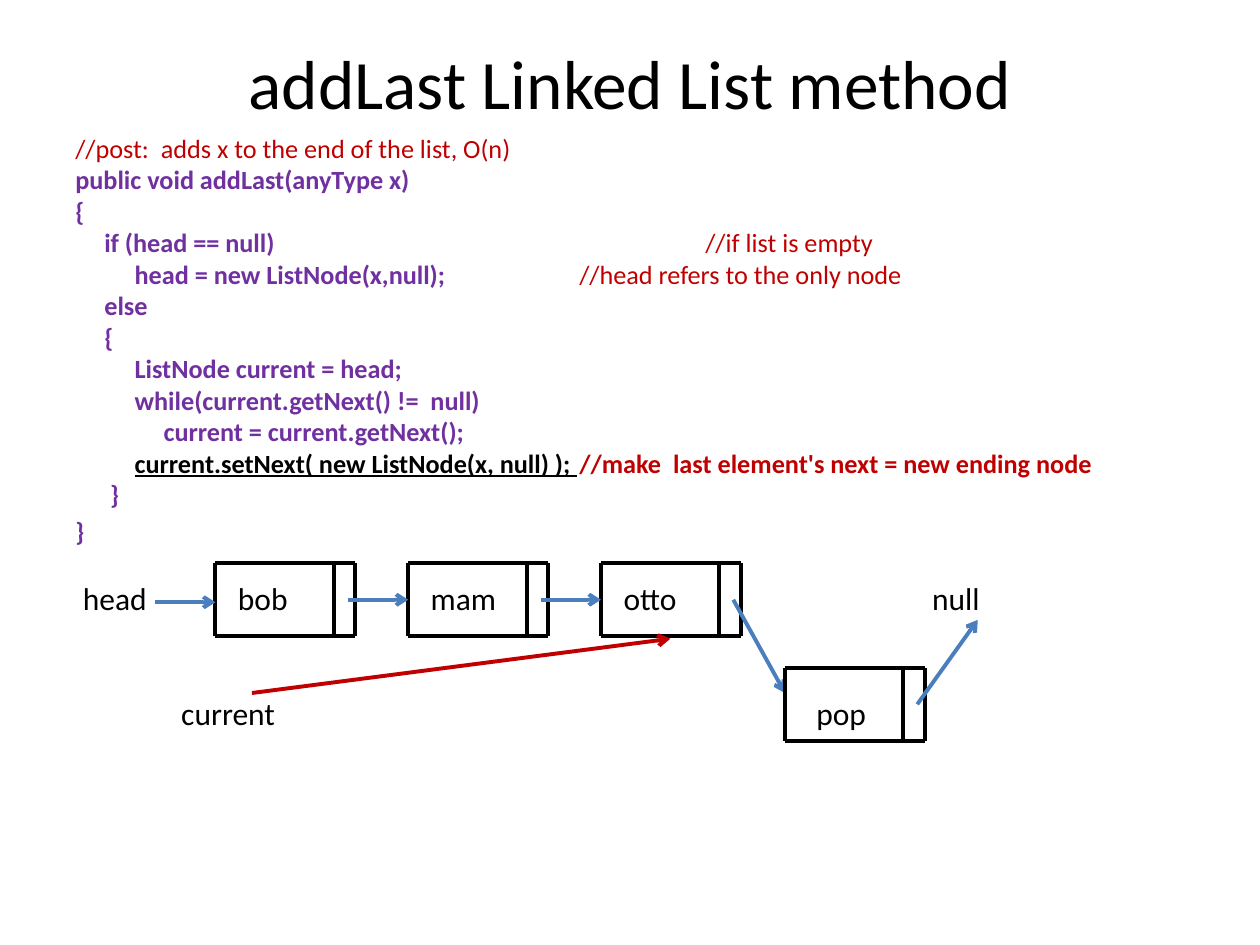
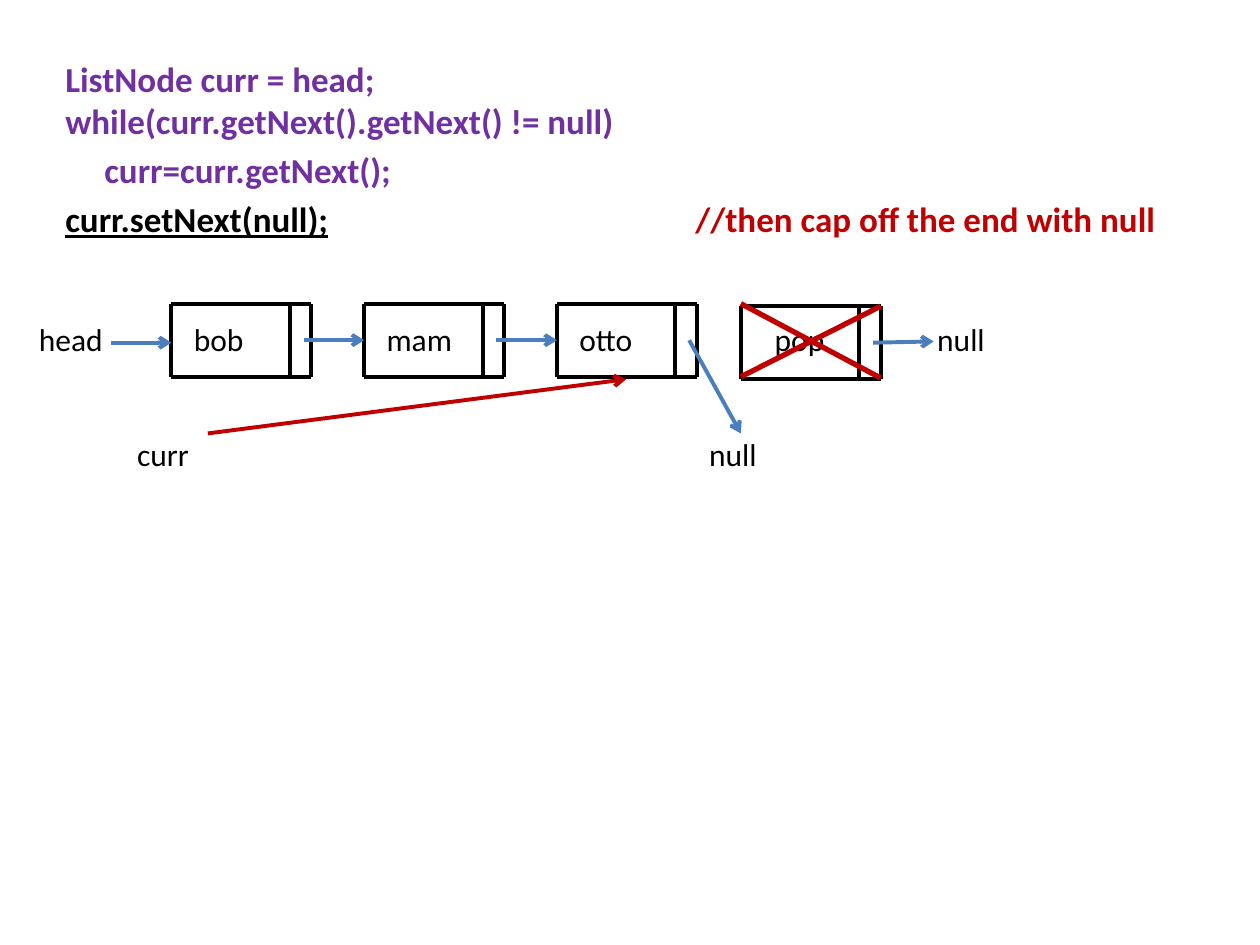
import pptx
import pptx.util
import pptx.dml.color
import pptx.enum.shapes
import pptx.enum.text
import pptx.oxml.ns
import lxml.etree

Inches = pptx.util.Inches
RGBColor = pptx.dml.color.RGBColor

BLACK = RGBColor(0x00, 0x00, 0x00)
PURPLE = RGBColor(0x70, 0x30, 0xA0)
RED = RGBColor(0xC0, 0x00, 0x00)
BLUE = RGBColor(0x4B, 0x7E, 0xBC)
FONT = "Calibri"

# Run styles: colour, bold, underline
PLAIN = (BLACK, False, False)
CODE = (PURPLE, True, False)
KEY_CODE = (BLACK, True, True)
COMMENT = (RED, False, False)
KEY_COMMENT = (RED, True, False)

# List node geometry, in inches
NODE_WIDTH, NODE_HEIGHT, POINTER_EDGE = 1.11, 0.58, 0.94
NODE_PITCH = 1.53
POINTER_X, POINTER_Y = 1.05, 0.29
LAST_NODE_X = 4.52
NODE_LABEL_TABS = (1.23, 2.76, 4.29)
REFERENCE_TAB = 0.78


def add_child(parent, tag, **attributes):
    return lxml.etree.SubElement(parent, pptx.oxml.ns.qn(tag), attributes)


def add_text(slide, box, lines, *, size, tabs=(), line_tabs=None, spacing=None,
             centred=False):
    """Each line is a list of (text, style).

    line_tabs and spacing map a line index to its own tab stops and points before it.
    """
    shape = slide.shapes.add_textbox(*(Inches(length) for length in box))
    frame = shape.text_frame
    frame.word_wrap = True
    if centred:
        frame.vertical_anchor = pptx.enum.text.MSO_ANCHOR.MIDDLE
    for index, line in enumerate(lines):
        paragraph = frame.paragraphs[0] if index == 0 else frame.add_paragraph()
        paragraph.space_before = pptx.util.Pt((spacing or {}).get(index, 0))
        if centred:
            paragraph.alignment = pptx.enum.text.PP_ALIGN.CENTER
        stops = (line_tabs or {}).get(index, tabs)
        if stops:
            tab_list = add_child(paragraph._p.get_or_add_pPr(), "a:tabLst")
            for stop in stops:
                add_child(tab_list, "a:tab", pos=str(int(Inches(stop))), algn="l")
        for text, (colour, bold, underline) in line:
            run = paragraph.add_run()
            run.text = text
            run.font.name = FONT
            run.font.size = pptx.util.Pt(size)
            run.font.color.rgb = colour
            run.font.bold = bold
            run.font.underline = underline


def add_line(slide, origin, start, end, *, colour=BLACK, width=2.25, arrow=False):
    left, top = origin
    connector = slide.shapes.add_connector(
        pptx.enum.shapes.MSO_CONNECTOR.STRAIGHT,
        Inches(left + start[0]), Inches(top + start[1]),
        Inches(left + end[0]), Inches(top + end[1]))
    connector.line.color.rgb = colour
    connector.line.width = pptx.util.Pt(width)
    if arrow:
        add_child(connector.line._get_or_add_ln(), "a:tailEnd", type="arrow")
    add_child(connector._element.spPr, "a:effectLst")


def add_node(slide, origin, x, y):
    right, bottom = x + NODE_WIDTH, y + NODE_HEIGHT
    for edge_y in (y, bottom):
        add_line(slide, origin, (x, edge_y), (right, edge_y))
    for edge_x in (x, x + POINTER_EDGE, right):
        add_line(slide, origin, (edge_x, y), (edge_x, bottom))


def add_linked_list(slide, origin, *, last_node_y, last_target, upper_labels,
                    upper_tabs, lower_labels, lower_tab):
    """Three nodes in a row, a last node, their pointers and the labels."""
    # Nodes
    for index in range(3):
        add_node(slide, origin, index * NODE_PITCH, 0)

    # Pointers: head, the two links, the third node's link
    pointers = [((-0.48, 0.31), (0, 0.31))]
    for index in range(2):
        pointers.append(((index * NODE_PITCH + POINTER_X, POINTER_Y),
                         ((index + 1) * NODE_PITCH, POINTER_Y)))
    pointers.append(((2 * NODE_PITCH + POINTER_X, POINTER_Y), (LAST_NODE_X, 1.03)))
    for start, end in pointers:
        add_line(slide, origin, start, end, colour=BLUE, arrow=True)

    # Labels, placed by tab stops
    add_text(slide, (origin[0] - 1.15, origin[1] + 0.08, 9.11, 1.31),
             [[(upper_labels, PLAIN)], [(lower_labels, PLAIN)]], size=18,
             line_tabs={0: NODE_LABEL_TABS + upper_tabs, 1: (REFERENCE_TAB, lower_tab)},
             spacing={1: 44})

    # Traversal reference
    add_line(slide, origin, (0.29, 1.03), (3.61, 0.6), colour=RED, arrow=True)

    # Last node and its pointer
    add_node(slide, origin, LAST_NODE_X, last_node_y)
    add_line(slide, origin, (LAST_NODE_X + POINTER_X, last_node_y + POINTER_Y),
             last_target, colour=BLUE, arrow=True)


def build_add_last_slide(slide):
    # Title
    add_text(slide, (0.5, 0.3, 9, 0.7), [[("addLast Linked List method", PLAIN)]],
             size=39.6, centred=True)

    # Code
    code = [
        [("//post:  adds x to the end of the list, O(n)", COMMENT)],
        [("public void addLast(anyType x)", CODE)],
        [("{", CODE)],
        [("\tif (head == null)\t\t", CODE), ("//if list is empty", COMMENT)],
        [("\t\thead = new ListNode(x,null);\t", CODE),
         ("//head refers to the only node", COMMENT)],
        [("\telse", CODE)],
        [("\t{", CODE)],
        [("\t\tListNode current = head;", CODE)],
        [("\t\twhile(current.getNext() !=  null)", CODE)],
        [("\t\t\tcurrent = current.getNext();", CODE)],
        [("\t\t", CODE), ("current.setNext( new ListNode(x, null) ); \t", KEY_CODE),
         ("//make  last element's next = new ending node", KEY_COMMENT)],
        [("\t }", CODE)],
        [("}", CODE)],
    ]
    add_text(slide, (0.5, 1, 9, 3.5), code, size=15,
             tabs=(0.23, 0.47, 0.7, 4, 5), spacing={len(code) - 1: 3})

    # List with the new node below the row
    add_linked_list(slide, (1.71, 4.47), last_node_y=0.83, last_target=(6.05, 0.45),
                    upper_labels="head\tbob\tmam\totto\tnull", upper_tabs=(6.74,),
                    lower_labels="\tcurrent\tpop", lower_tab=5.82)


def build_remove_last_slide(slide):
    # Code
    code = [
        [("ListNode curr = head;", CODE)],
        [("while(curr.getNext().getNext() != null)", CODE)],
        [("\tcurr=curr.getNext();", CODE)],
        [("curr.setNext(null);", KEY_CODE), ("\t", CODE),
         ("//then cap off the end with null", KEY_COMMENT)],
    ]
    add_text(slide, (0.42, 0.41, 9, 4.95), code, size=20, tabs=(0.31, 5),
             spacing={2: 4, 3: 4})

    # List with the last node in the row
    origin = (1.36, 2.41)
    add_linked_list(slide, origin, last_node_y=0.02, last_target=(6.05, 0.3),
                    upper_labels="head\tbob\tmam\totto\tpop\tnull",
                    upper_tabs=(5.84, 7.13),
                    lower_labels="\tcurr\tnull", lower_tab=5.32)

    # Cross over the removed node
    right = LAST_NODE_X + NODE_WIDTH
    for start_y, end_y in ((0, 0.59), (0.58, 0.02)):
        add_line(slide, origin, (LAST_NODE_X, start_y), (right, end_y),
                 colour=RED, width=3)


presentation = pptx.Presentation()
presentation.slide_width, presentation.slide_height = Inches(10), Inches(7.5)
for build in (build_add_last_slide, build_remove_last_slide):
    build(presentation.slides.add_slide(presentation.slide_layouts[6]))
presentation.save("out.pptx")
